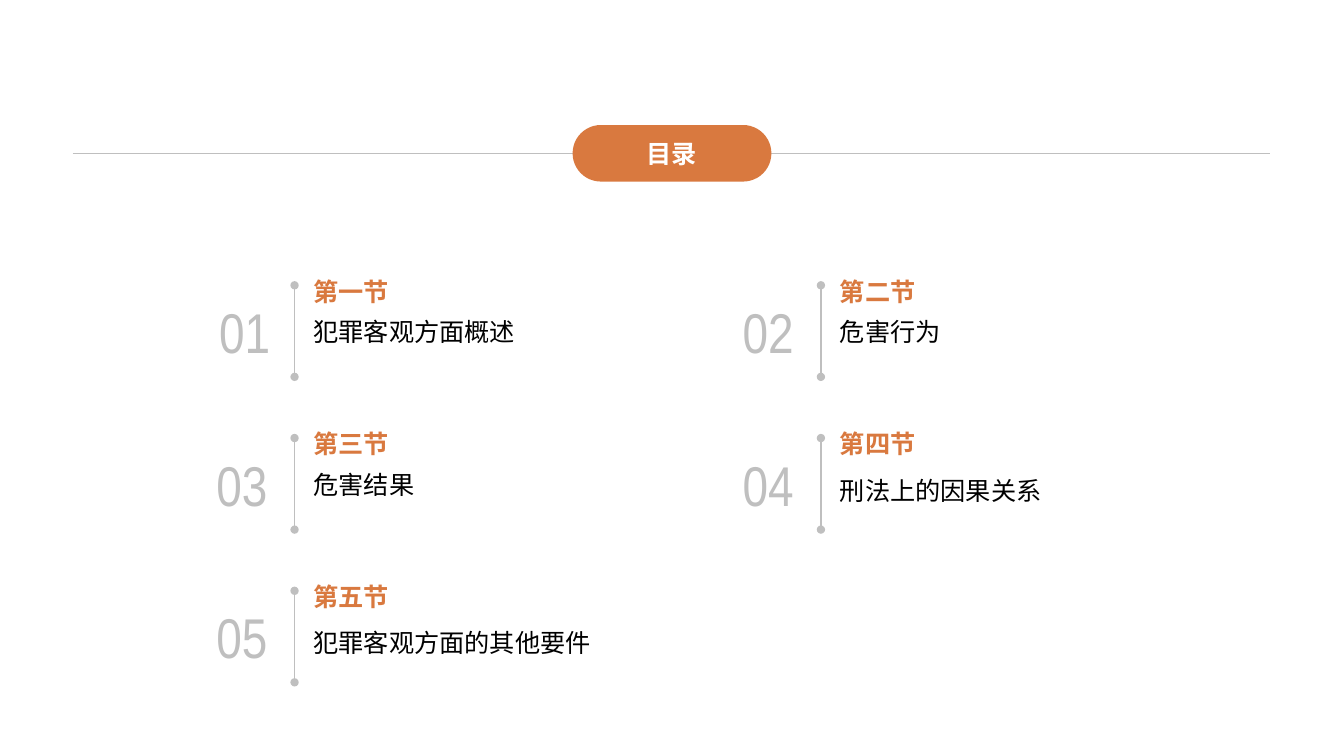
from dataclasses import dataclass

from lxml.etree import SubElement
from pptx import Presentation
from pptx.dml.color import RGBColor
from pptx.enum.shapes import MSO_CONNECTOR, MSO_SHAPE
from pptx.enum.text import MSO_ANCHOR, PP_ALIGN
from pptx.oxml.ns import qn
from pptx.util import Pt


@dataclass(frozen=True)
class Theme:
    accent: RGBColor = RGBColor(0xD9, 0x79, 0x3F)
    grey: RGBColor = RGBColor(0xBF, 0xBF, 0xBF)
    black: RGBColor = RGBColor(0, 0, 0)
    white: RGBColor = RGBColor(255, 255, 255)
    text_font: str = "Noto Sans CJK SC"
    number_font: str = "Arial Narrow"
    text_size: int = 18
    number_size: int = 40


THEME = Theme()
COLUMNS = 2
FIRST_LEFT, COLUMN_PITCH = 210.4, 376
FIRST_TOP, ROW_PITCH = 203.8, 109.1
RULE_HEIGHT = 65.4

SECTIONS = [
    ("第一节", "犯罪客观方面概述", 2, 1),
    ("第二节", "危害行为", 0, 1),
    ("第三节", "危害结果", 0, 1),
    ("第四节", "刑法上的因果关系", 0, 1.2),
    ("第五节", "犯罪客观方面的其他要件", 0, 1.2),
]


def write_text(shape, text, *, color, font=THEME.text_font, size=THEME.text_size,
               bold=False, align=PP_ALIGN.LEFT, anchor=MSO_ANCHOR.TOP, spacing=1):
    frame = shape.text_frame
    frame.word_wrap = True
    frame.vertical_anchor = anchor
    para = frame.paragraphs[0]
    para.alignment = align
    para.line_spacing = spacing
    span = para.add_run()
    span.text = text
    span.font.size = Pt(size)
    span.font.bold = bold
    span.font.color.rgb = color
    span.font.name = font
    SubElement(span.font._element, qn("a:ea")).set("typeface", font)


def add_text(page, left, top, width, height, text, **style):
    box = page.shapes.add_textbox(Pt(left), Pt(top), Pt(width), Pt(height))
    write_text(box, text, **style)


def add_rule(page, start, end, width, dotted=False):
    rule = page.shapes.add_connector(MSO_CONNECTOR.STRAIGHT, *map(Pt, start + end))
    rule.line.color.rgb = THEME.grey
    rule.line.width = Pt(width)
    if dotted:
        outline = rule.line._get_or_add_ln()
        for tag in ("a:headEnd", "a:tailEnd"):
            SubElement(outline, qn(tag)).set("type", "oval")
    SubElement(rule._element.spPr, qn("a:effectLst"))


def add_heading(page, text):
    add_rule(page, (52, 109.6), (907, 109.6), 0.25)
    pill = page.shapes.add_shape(MSO_SHAPE.ROUNDED_RECTANGLE,
                                 Pt(409), Pt(89.3), Pt(142), Pt(40.4))
    pill.adjustments[0] = 0.5
    pill.shadow.inherit = False
    pill.fill.solid()
    pill.fill.fore_color.rgb = THEME.accent
    pill.line.fill.background()
    write_text(pill, text, color=THEME.white, bold=True,
               align=PP_ALIGN.CENTER, anchor=MSO_ANCHOR.MIDDLE)


def add_section(page, index, title, topic, number_shift, spacing):
    row, column = divmod(index, COLUMNS)
    left = FIRST_LEFT + column * COLUMN_PITCH
    top = FIRST_TOP + row * ROW_PITCH
    add_text(page, left - 67.2 + number_shift, top, 59, RULE_HEIGHT, f"{index + 1:02}",
             color=THEME.grey, font=THEME.number_font, size=THEME.number_size,
             align=PP_ALIGN.CENTER, anchor=MSO_ANCHOR.MIDDLE)
    add_text(page, left + 6.4, top - 10.3, 224, 28.8, title,
             color=THEME.accent, bold=True, anchor=MSO_ANCHOR.BOTTOM)
    add_text(page, left + 6.4, top + 18.5, 240, 46, topic,
             color=THEME.black, align=PP_ALIGN.JUSTIFY, spacing=spacing)
    add_rule(page, (left, top), (left, top + RULE_HEIGHT), 1, dotted=True)


def main():
    deck = Presentation()
    deck.slide_width, deck.slide_height = Pt(960), Pt(540)
    page = deck.slides.add_slide(deck.slide_layouts[6])
    add_heading(page, "目录")
    for index, section in enumerate(SECTIONS):
        add_section(page, index, *section)
    deck.save("out.pptx")


if __name__ == "__main__":
    main()
